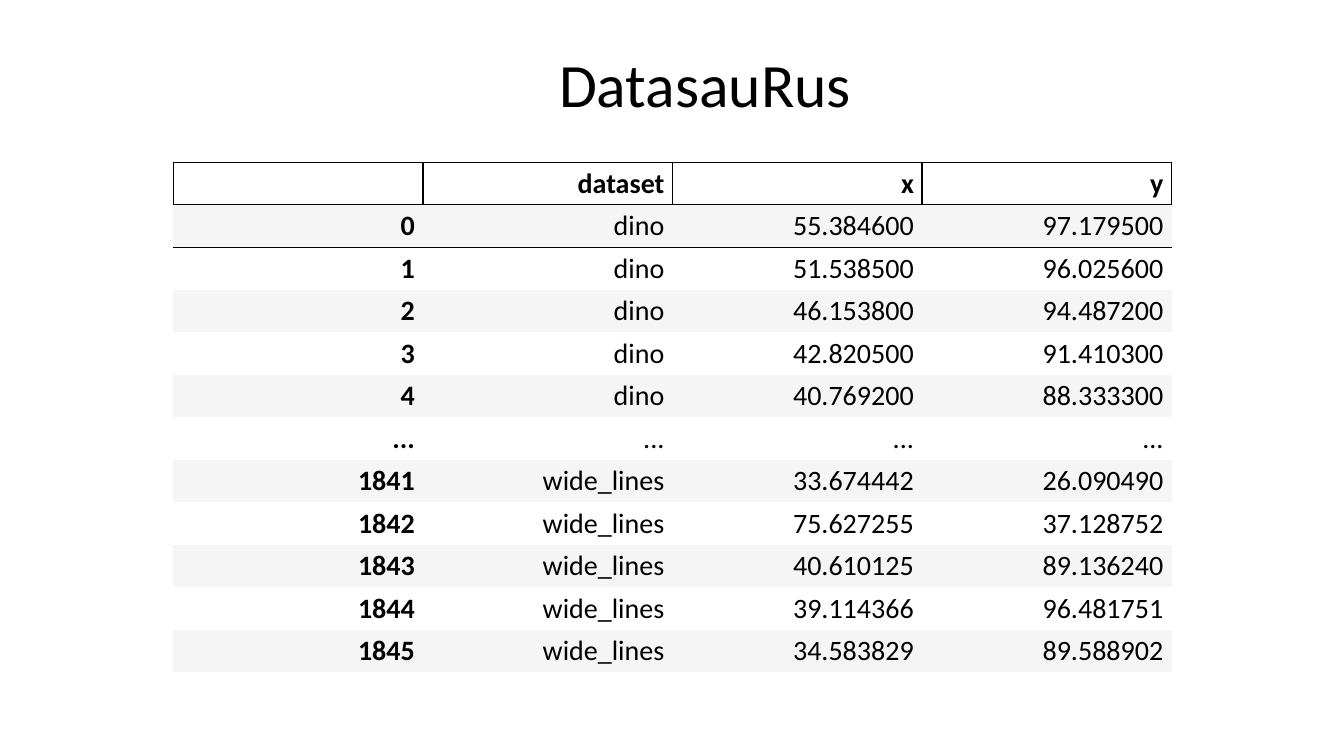
from dataclasses import dataclass

from lxml.etree import SubElement
from pptx import Presentation
from pptx.dml.color import RGBColor
from pptx.enum.text import MSO_ANCHOR as Anchor, PP_ALIGN as Align
from pptx.oxml.ns import qn
from pptx.util import Inches, Pt


@dataclass(frozen=True)
class Theme:
    font: str = "Calibri"
    ink: str = "000000"
    band: str = "F5F5F5"
    title_size: int = 44
    table_size: int = 20
    border_width: int = 1


THEME = Theme()
PLAIN_TABLE_STYLE = "{2D5ABB26-0587-4C30-8999-92F81FD0307C}"

ROWS = [
    ("", "dataset", "x", "y"),
    ("0", "dino", "55.384600", "97.179500"),
    ("1", "dino", "51.538500", "96.025600"),
    ("2", "dino", "46.153800", "94.487200"),
    ("3", "dino", "42.820500", "91.410300"),
    ("4", "dino", "40.769200", "88.333300"),
    ("...", "...", "...", "..."),
    ("1841", "wide_lines", "33.674442", "26.090490"),
    ("1842", "wide_lines", "75.627255", "37.128752"),
    ("1843", "wide_lines", "40.610125", "89.136240"),
    ("1844", "wide_lines", "39.114366", "96.481751"),
    ("1845", "wide_lines", "34.583829", "89.588902"),
]


def format_paragraph(paragraph, size, alignment, bold=False):
    paragraph.alignment = alignment
    for run in paragraph.runs:
        run.font.name = THEME.font
        run.font.size = Pt(size)
        run.font.bold = bold
        run.font.color.rgb = RGBColor.from_string(THEME.ink)


def add_borders(cell, sides):
    """Draw the given sides, listed in the order L, R, T, B."""
    properties = cell._tc.get_or_add_tcPr()
    for side in sides:
        line = SubElement(properties, qn(f"a:ln{side}"), w=str(Pt(THEME.border_width)))
        fill = SubElement(line, qn("a:solidFill"))
        SubElement(fill, qn("a:srgbClr"), val=THEME.ink)


def add_title(slide, text, left, top, width, height):
    box = slide.shapes.add_textbox(left, top, width, height)
    frame = box.text_frame
    frame.word_wrap = True
    frame.vertical_anchor = Anchor.MIDDLE
    frame.text = text
    format_paragraph(frame.paragraphs[0], THEME.title_size, Align.CENTER)


def fill_cell(cell, text, row, column):
    cell.margin_left = cell.margin_right = Inches(0.08)
    cell.margin_top = cell.margin_bottom = Inches(0.04)
    cell.vertical_anchor = Anchor.MIDDLE
    cell.text_frame.text = text
    format_paragraph(cell.text_frame.paragraphs[0], THEME.table_size, Align.RIGHT,
                     bold=row == 0 or column == 0)
    if row == 0:
        add_borders(cell, "LRTB")
    elif row == 1:
        add_borders(cell, "T")
    if row % 2:
        cell.fill.solid()
        cell.fill.fore_color.rgb = RGBColor.from_string(THEME.band)
    else:
        cell.fill.background()


def add_data_table(slide, rows, left, top, width, height):
    frame = slide.shapes.add_table(len(rows), len(rows[0]), left, top, width, height)
    table = frame.table
    table._tbl.tblPr.find(qn("a:tableStyleId")).text = PLAIN_TABLE_STYLE
    for row, values in enumerate(rows):
        for column, text in enumerate(values):
            fill_cell(table.cell(row, column), text, row, column)


def main():
    presentation = Presentation()
    presentation.slide_width = Inches(13.33)
    presentation.slide_height = Inches(7.5)
    slide = presentation.slides.add_slide(presentation.slide_layouts[6])
    add_title(slide, "DatasauRus", Inches(0.11), Inches(0.2), Inches(13.77), Inches(1.25))
    add_data_table(slide, ROWS, Inches(1.72), Inches(1.61), Inches(9.9), Inches(5.06))
    presentation.save("out.pptx")


if __name__ == "__main__":
    main()
